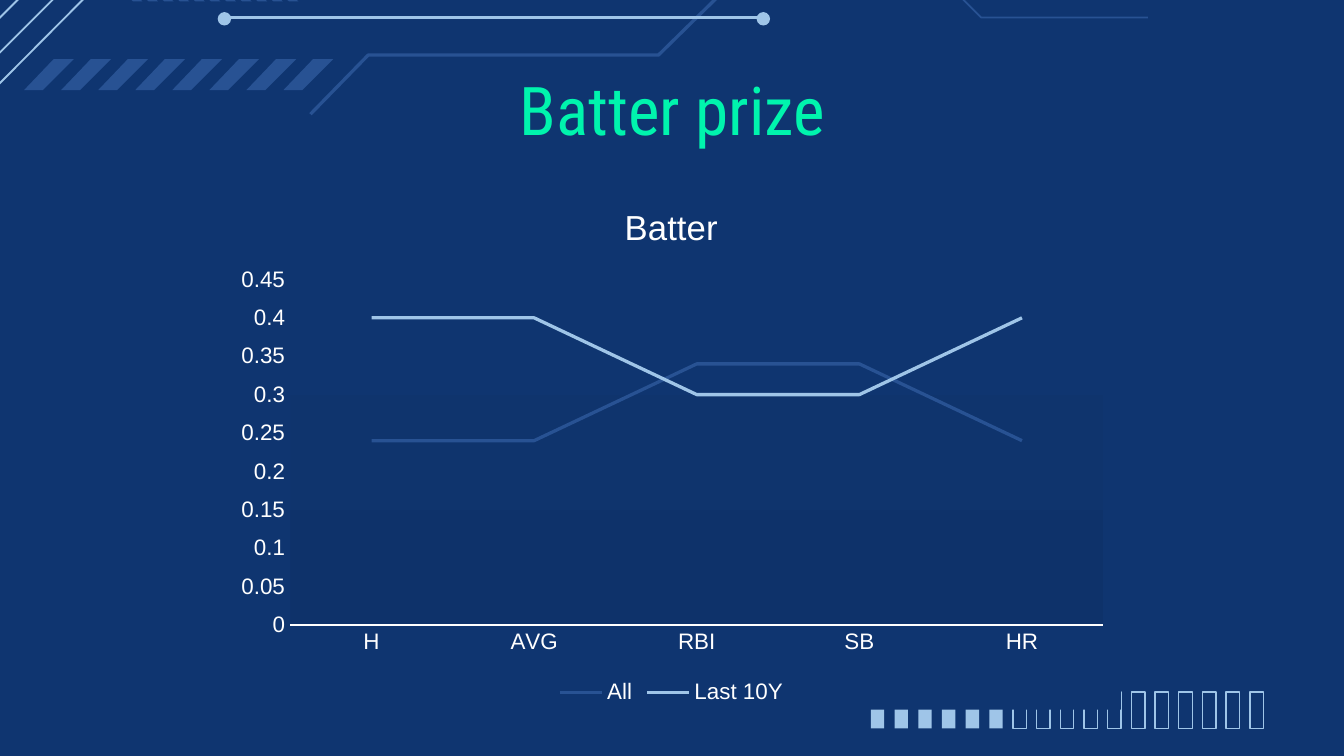
"""Build the batter prize slide with its line chart and circuit decoration."""
from typing import NamedTuple

from lxml import etree
from pptx import Presentation
from pptx.chart.data import CategoryChartData
from pptx.dml.color import RGBColor
from pptx.enum.chart import XL_CHART_TYPE as ChartType
from pptx.enum.chart import XL_LEGEND_POSITION as LegendPos
from pptx.enum.chart import XL_TICK_MARK as Tick
from pptx.enum.shapes import MSO_CONNECTOR as Connector
from pptx.enum.shapes import MSO_SHAPE as Shape
from pptx.enum.text import MSO_ANCHOR as Anchor
from pptx.enum.text import MSO_AUTO_SIZE as AutoSize
from pptx.enum.text import PP_ALIGN as Align
from pptx.oxml import parse_xml
from pptx.oxml.ns import nsdecls, qn
from pptx.util import Inches, Pt

NAVY = RGBColor(0x0F, 0x35, 0x70)
DEEP = RGBColor(0x0E, 0x32, 0x6A)
BLUE = RGBColor(0x28, 0x52, 0x93)
SKY = RGBColor(0x9F, 0xC5, 0xE8)
MINT = RGBColor(0x00, 0xF4, 0xAD)
WHITE = RGBColor(0xFF, 0xFF, 0xFF)

Points = list[tuple[float, float]]


class Box(NamedTuple):
    left: float
    top: float
    width: float
    height: float


class Trace(NamedTuple):
    points: Points
    color: RGBColor
    width: float


class Row(NamedTuple):
    points: Points
    step: float
    count: int


class Series(NamedTuple):
    name: str
    values: list[float]
    color: RGBColor


CHART = Box(1.65, 1.34, 6.69, 3.94)
PLOT = Box(2.16, 2.08, 6.05, 2.57)
TRACES = [
    Trace([(-0.19, 0.81), (1.27, -0.66), (2.59, -0.66), (3.15, -0.1),
           (4.49, -0.1), (5.28, -0.9), (6.05, -0.9)], SKY, 1),
    Trace([(2.31, 0.85), (2.74, 0.41), (4.9, 0.41), (5.47, -0.15),
           (6.46, -0.15)], BLUE, 1.75),
    Trace([(8.54, 0.13), (7.3, 0.13), (6.79, -0.38), (5.85, -0.38)], BLUE, 1),
    Trace([(-0.43, 0.82), (1.05, -0.66)], SKY, 1),
    Trace([(-0.61, 0.74), (0.87, -0.74)], SKY, 1),
]
ROWS = [
    Row([(0.32, 0.67), (0.55, 0.44), (0.4, 0.44), (0.18, 0.67)], 1.93 / 7, 8),
    Row([(1.06, 0.01), (0.94, -0.09), (1.05, -0.19), (0.97, -0.19),
         (0.87, -0.09), (0.99, 0.01)], 1.16 / 10, 11),
]
SERIES = [
    Series("All", [0.24, 0.24, 0.34, 0.34, 0.24], BLUE),
    Series("Last 10Y", [0.4, 0.4, 0.3, 0.3, 0.4], SKY),
]


def set_all(obj, **values) -> None:
    for name, value in values.items():
        setattr(obj, name, value)


def set_font(font, size: float, color: RGBColor, name: str = "Arial") -> None:
    set_all(font, size=Pt(size), name=name, bold=False)
    font.color.rgb = color


def paint(sp, fill: RGBColor | None, line: RGBColor | None = None, width: float = 0.75) -> None:
    sp.shadow.inherit = False
    if fill is None:
        sp.fill.background()
    else:
        sp.fill.solid()
        sp.fill.fore_color.rgb = fill
    if line is None:
        sp.line.fill.background()
    else:
        sp.line.color.rgb = line
        sp.line.width = Pt(width)


def add_outline(s, points: Points, close: bool):
    first, *rest = [(Inches(x), Inches(y)) for x, y in points]
    builder = s.shapes.build_freeform(*first)
    builder.add_line_segments(rest, close=close)
    return builder.convert_to_shape()


def add_decoration(s) -> None:
    for trace in TRACES:
        paint(add_outline(s, trace.points, False), None, trace.color, trace.width)
    rail = s.shapes.add_connector(
        Connector.STRAIGHT, Inches(1.66), Inches(0.13), Inches(5.65), Inches(0.13))
    rail.line.color.rgb = SKY
    rail.line.width = Pt(1.25)
    etree.SubElement(rail._element.spPr, qn("a:effectLst"))
    for left in (1.62, 5.63):
        paint(s.shapes.add_shape(Shape.OVAL, Inches(left), Inches(0.09),
                                 Inches(0.1), Inches(0.1)), SKY)
    for row in ROWS:
        for i in range(row.count):
            paint(add_outline(s, [(x + i * row.step, y) for x, y in row.points], True), BLUE)
    for i in range(17):
        bar = s.shapes.add_shape(Shape.RECTANGLE, Inches(6.48 + i * 2.82 / 16), Inches(5.15),
                                 Inches(0.1), Inches(0.27))
        paint(bar, *((SKY, None) if i < 6 else (None, SKY)))


def add_title(s, text: str) -> None:
    sp = s.shapes.title
    set_all(sp, left=Inches(0.79), top=Inches(0.51), width=Inches(8.43), height=Inches(0.53))
    tf = sp.text_frame
    set_all(tf, margin_left=0, margin_right=0, margin_top=0, margin_bottom=0,
            word_wrap=True, auto_size=AutoSize.NONE, vertical_anchor=Anchor.TOP)
    p = tf.paragraphs[0]
    p.alignment = Align.CENTER
    r = p.add_run()
    r.text = text
    set_font(r.font, 36, MINT, "Roboto Condensed")


def set_backgrounds(chart) -> None:
    ns = nsdecls("c", "a")
    space = chart._chartSpace
    space.find(qn("c:chart")).addnext(parse_xml(
        f'<c:spPr {ns}><a:solidFill><a:srgbClr val="{NAVY}"/></a:solidFill>'
        "<a:ln><a:noFill/></a:ln></c:spPr>"))
    area = space.find(".//" + qn("c:plotArea"))
    for old in area.findall(qn("c:layout")):
        area.remove(old)
    shares = {"x": (PLOT.left - CHART.left) / CHART.width,
              "y": (PLOT.top - CHART.top) / CHART.height,
              "w": PLOT.width / CHART.width,
              "h": PLOT.height / CHART.height}
    sizes = "".join(f'<c:{key} val="{value:.4f}"/>' for key, value in shares.items())
    area.insert(0, parse_xml(
        f'<c:layout {ns}><c:manualLayout><c:layoutTarget val="inner"/>'
        f'<c:xMode val="edge"/><c:yMode val="edge"/>{sizes}</c:manualLayout></c:layout>'))
    area.append(parse_xml(
        f'<c:spPr {ns}><a:gradFill><a:gsLst>'
        f'<a:gs pos="0"><a:srgbClr val="{NAVY}"/></a:gs>'
        f'<a:gs pos="100000"><a:srgbClr val="{DEEP}"/></a:gs></a:gsLst>'
        '<a:lin ang="5400000" scaled="0"/></a:gradFill></c:spPr>'))


def add_batter_chart(s) -> None:
    data = CategoryChartData()
    data.categories = ["H", "AVG", "RBI", "SB", "HR"]
    for series in SERIES:
        data.add_series(series.name, series.values)
    chart = s.shapes.add_chart(ChartType.LINE, *map(Inches, CHART), data).chart
    set_font(chart.font, 10, WHITE)
    chart.has_title = True
    tf = chart.chart_title.text_frame
    tf.text = "Batter"
    set_font(tf.paragraphs[0].runs[0].font, 18.6, WHITE)
    chart.has_legend = True
    set_all(chart.legend, position=LegendPos.BOTTOM, include_in_layout=False)
    set_font(chart.legend.font, 12, WHITE)
    for axis in (chart.category_axis, chart.value_axis):
        set_all(axis, major_tick_mark=Tick.NONE, minor_tick_mark=Tick.NONE,
                has_major_gridlines=False)
        set_font(axis.tick_labels.font, 12, WHITE)
    chart.category_axis.format.line.color.rgb = WHITE
    chart.category_axis.format.line.width = Pt(0.75)
    chart.value_axis.format.line.fill.background()
    set_all(chart.value_axis, minimum_scale=0, maximum_scale=0.45, major_unit=0.05)
    plot = chart.plots[0]
    plot.vary_by_categories = False
    for line, series in zip(plot.series, SERIES):
        line.smooth = False
        line.format.line.color.rgb = series.color
        line.format.line.width = Pt(1.75)
    set_backgrounds(chart)


def main() -> None:
    prs = Presentation()
    set_all(prs, slide_width=Inches(10), slide_height=Inches(10) * 9 // 16)
    s = prs.slides.add_slide(prs.slide_layouts[5])
    s.background.fill.solid()
    s.background.fill.fore_color.rgb = NAVY
    add_decoration(s)
    add_title(s, "Batter prize")
    add_batter_chart(s)
    prs.save("out.pptx")


if __name__ == "__main__":
    main()
